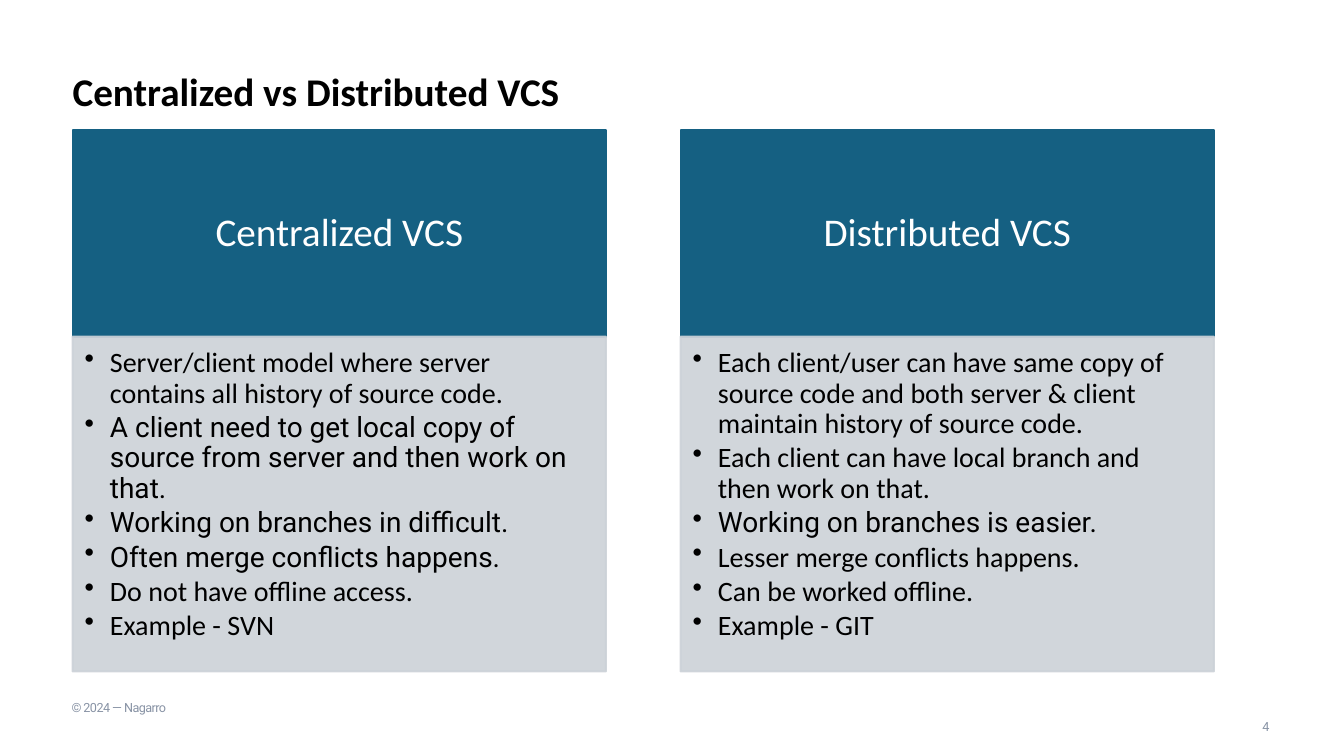
from pptx import Presentation
from pptx.dml.color import RGBColor
from pptx.enum.shapes import MSO_SHAPE as Shape
from pptx.enum.text import MSO_ANCHOR as Anchor, MSO_AUTO_SIZE as Fit, PP_ALIGN as Align
from pptx.oxml.ns import qn
from pptx.util import Inches, Pt
from lxml.etree import SubElement as sub

BLUE = RGBColor(0x15, 0x60, 0x82)
GREY = RGBColor(0xCC, 0xD2, 0xD8)
SLATE = RGBColor(0x88, 0x93, 0xA5)
BLACK = RGBColor(0, 0, 0)
WHITE = RGBColor(0xFF, 0xFF, 0xFF)
SANS, ALT = "Calibri", "Roboto"

LEFT, STEP, WIDTH = 0.72, 6.03, 5.29
TOP, HEAD, BODY = 1.29, 2.05, 3.32

PANELS = [
    ("Centralized VCS", [
        ("Server/client model where server contains all history of source code.", SANS),
        ("A client need to get local copy of source from server and then work on that.", ALT),
        ("Working on branches in difficult.", ALT),
        ("Often merge conflicts happens.", ALT),
        ("Do not have offline access.", SANS),
        ("Example - SVN", SANS),
    ]),
    ("Distributed VCS", [
        ("Each client/user can have same copy of source code and both server & client "
         "maintain history of source code.", SANS),
        ("Each client can have local branch and then work on that.", SANS),
        ("Working on branches is easier.", ALT),
        ("Lesser merge conflicts happens.", SANS),
        ("Can be worked offline.", SANS),
        ("Example - GIT", SANS),
    ]),
]


def set_font(para, name, size, color, bold=False):
    """Set the font of a whole paragraph."""
    font = para.font
    font.name, font.size, font.bold = name, Pt(size), bold
    font.color.rgb = color


def set_frame(frame, anchor, pads=(0, 0, 0, 0), wrap=True):
    """Set the anchor, insets and wrapping of a text frame."""
    frame.auto_size = Fit.NONE
    frame.word_wrap, frame.vertical_anchor = wrap, anchor
    (frame.margin_left, frame.margin_top,
     frame.margin_right, frame.margin_bottom) = map(Inches, pads)


def add_title(slide, text):
    """Place and format the slide title."""
    title = slide.shapes.title
    title.left, title.top = Inches(0.72), Inches(0.5)
    title.width, title.height = Inches(5.25), Inches(0.88)
    set_frame(title.text_frame, Anchor.MIDDLE)
    title.text_frame.text = text
    para = title.text_frame.paragraphs[0]
    para.alignment, para.line_spacing = Align.LEFT, 0.8
    set_font(para, SANS, 28, BLACK, True)


def add_box(slide, left, top, height, color):
    """Add a filled and outlined panel rectangle."""
    box = slide.shapes.add_shape(
        Shape.RECTANGLE, Inches(left), Inches(top), Inches(WIDTH), Inches(height))
    box.shadow.inherit = False
    box.fill.solid()
    box.fill.fore_color.rgb = box.line.color.rgb = color
    box.line.width = Pt(1.5)
    return box


def add_head(slide, left, text):
    """Add the heading block of a panel."""
    frame = add_box(slide, left, TOP, HEAD, BLUE).text_frame
    set_frame(frame, Anchor.MIDDLE, (0.22, 0.12, 0.22, 0.12))
    frame.text = text
    para = frame.paragraphs[0]
    para.alignment, para.line_spacing = Align.CENTER, 0.9
    set_font(para, SANS, 28, WHITE)


def add_list(slide, left, items):
    """Add the translucent bullet block of a panel."""
    box = add_box(slide, left, TOP + HEAD, BODY, GREY)
    for tint in box.element.spPr.iter(qn("a:srgbClr")):
        sub(tint, qn("a:alpha"), val="90000")
    frame = box.text_frame
    set_frame(frame, Anchor.TOP, (0.12, 0.12, 0.16, 0.17))
    frame.text = "\n".join(text for text, _ in items)
    for para, (_, name) in zip(frame.paragraphs, items):
        props = para._p.get_or_add_pPr()
        props.set("marL", str(Inches(0.25)))
        props.set("indent", str(Inches(-0.25)))
        sub(props, qn("a:buChar"), char="•")
        para.alignment, para.line_spacing = Align.LEFT, 0.9
        para.space_after = Pt(3)
        set_font(para, name, 20, BLACK)


def add_note(slide, text, left, top, width, align, track=0):
    """Add a small line of text at the foot of the slide."""
    box = slide.shapes.add_textbox(
        Inches(left), Inches(top), Inches(width), Inches(0.14))
    set_frame(box.text_frame, Anchor.MIDDLE, wrap=False)
    box.text_frame.text = text
    para = box.text_frame.paragraphs[0]
    para.alignment, para.line_spacing = align, 0.9
    set_font(para, ALT, 9, SLATE)
    para.runs[0]._r.get_or_add_rPr().set("spc", str(track))


def main():
    """Build and save the slide."""
    deck = Presentation()
    deck.slide_width, deck.slide_height = Inches(13.33), Inches(7.5)
    slide = deck.slides.add_slide(deck.slide_layouts[5])
    add_title(slide, "Centralized vs Distributed VCS")
    for col, (head, items) in enumerate(PANELS):
        left = LEFT + col * STEP
        add_head(slide, left, head)
        add_list(slide, left, items)
    add_note(slide, "© 2024 — Nagarro", 0.71, 6.96, 1.26, Align.LEFT, -40)
    add_note(slide, "4", 12.45, 7.15, 0.21, Align.CENTER)
    deck.save("out.pptx")


if __name__ == "__main__":
    main()
